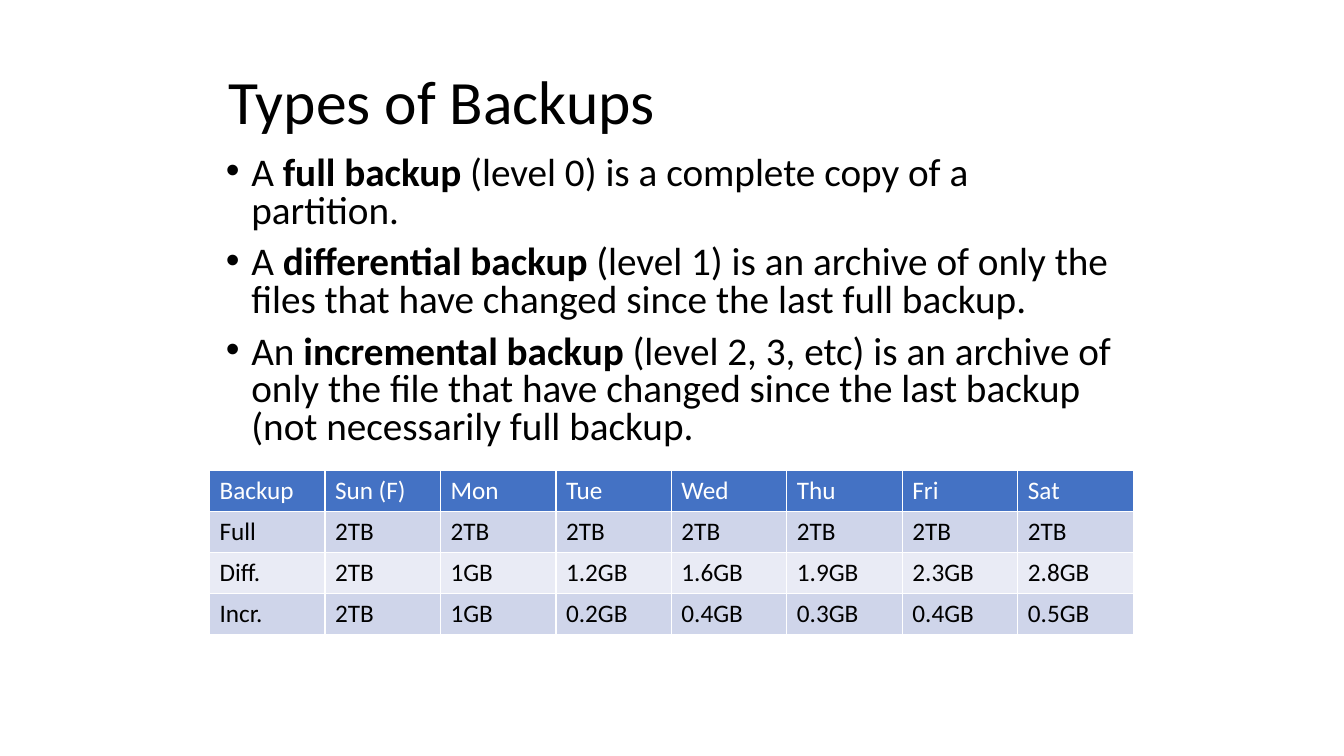
from pptx import Presentation
from pptx.dml.color import RGBColor
from pptx.enum.text import MSO_ANCHOR as Anchor, MSO_AUTO_SIZE as AutoSize, PP_ALIGN as Align
from pptx.util import Cm, Pt

BLACK, WHITE, BLUE = "000000", "FFFFFF", "4472C4"
BANDS = ["CFD5EA", "E9EBF5"]

TYPES = [
    ("A ", "full backup ", "(level 0) is a complete copy of a partition."),
    ("A ", "differential backup",
     " (level 1) is an archive of only the files that have changed since the last full backup."),
    ("An ", "incremental backup ",
     "(level 2, 3, etc) is an archive of only the file that have changed "
     "since the last backup (not necessarily full backup."),
]

SIZES = [
    ["Backup", "Sun (F)", "Mon", "Tue", "Wed", "Thu", "Fri", "Sat"],
    ["Full"] + ["2TB"] * 7,
    ["Diff.", "2TB", "1GB", "1.2GB", "1.6GB", "1.9GB", "2.3GB", "2.8GB"],
    ["Incr.", "2TB", "1GB", "0.2GB", "0.4GB", "0.3GB", "0.4GB", "0.5GB"],
]


def apply(target, values):
    for name, value in values.items():
        setattr(target, name, value)


def paint(color_format, color):
    color_format.rgb = RGBColor.from_string(color)


def add_span(para, text, size, color=BLACK, bold=False):
    span = para.add_run()
    span.text = text
    apply(span.font, {"name": "Calibri", "size": Pt(size), "bold": bold})
    paint(span.font.color, color)


def place(box, left, top, width, height, anchor):
    apply(box, {"left": Cm(left), "top": Cm(top), "width": Cm(width), "height": Cm(height)})
    apply(box.text_frame, {"auto_size": AutoSize.NONE, "word_wrap": True, "vertical_anchor": anchor})


def fill_title(box, text):
    place(box, 5.51, 1.47, 22.86, 2.34, Anchor.MIDDLE)
    para = box.text_frame.paragraphs[0]
    apply(para, {"alignment": Align.LEFT, "line_spacing": 0.9})
    add_span(para, text, 44)


def fill_list(box, items):
    place(box, 5.44, 3.81, 22.86, 7.82, Anchor.TOP)
    frame = box.text_frame
    for index, spans in enumerate(items):
        para = frame.add_paragraph() if index else frame.paragraphs[0]
        apply(para, {"line_spacing": 0.8, "space_before": Pt(10)})
        indent = Cm(0.64)
        properties = para._p.get_or_add_pPr()
        properties.set("marL", str(indent))
        properties.set("indent", str(-indent))
        for position, text in enumerate(spans):
            add_span(para, text, 28, bold=position == 1)


def add_size_table(page, rows):
    row_count, column_count = len(rows), len(rows[0])
    column_width, row_height = Cm(2.91), Cm(1.03)
    table = page.shapes.add_table(
        row_count, column_count, Cm(5.28), Cm(11.86),
        column_width * column_count, row_height * row_count).table
    for row_index, texts in enumerate(rows):
        header = row_index == 0
        fill = BLUE if header else BANDS[(row_index - 1) % 2]
        for column_index, text in enumerate(texts):
            cell = table.cell(row_index, column_index)
            cell.fill.solid()
            paint(cell.fill.fore_color, fill)
            add_span(cell.text_frame.paragraphs[0], text, 18, WHITE if header else BLACK)


def main():
    deck = Presentation()
    apply(deck, {"slide_width": Cm(33.87), "slide_height": Cm(19.05)})
    page = deck.slides.add_slide(deck.slide_layouts[1])
    fill_title(page.shapes.title, "Types of Backups")
    fill_list(page.placeholders[1], TYPES)
    add_size_table(page, SIZES)
    deck.save("out.pptx")


if __name__ == "__main__":
    main()
